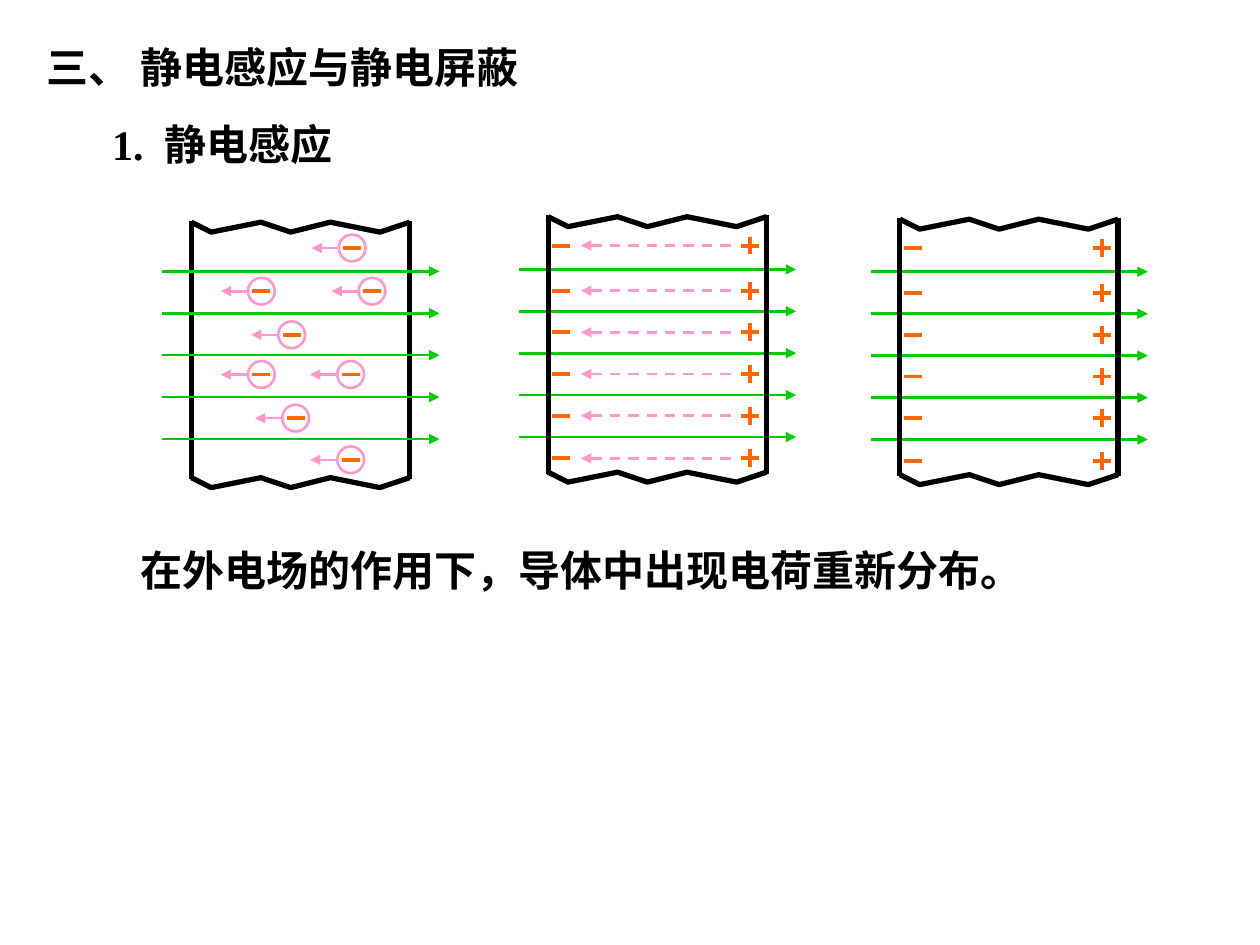
from lxml.etree import SubElement
from pptx import Presentation
from pptx.dml.color import RGBColor
from pptx.enum.dml import MSO_LINE_DASH_STYLE as Dash
from pptx.enum.shapes import MSO_CONNECTOR as Connector, MSO_SHAPE as Shape
from pptx.enum.text import MSO_ANCHOR as Anchor, MSO_AUTO_SIZE as AutoSize, PP_ALIGN as Align
from pptx.oxml.ns import qn
from pptx.util import Cm, Pt

# Content: text with left, top, width, height in cm
TITLE = ("三、 静电感应与静电屏蔽", (0.69, 0.71, 13.79, 1.27))
SUBTITLE = ("1.\t静电感应", (2.01, 2.26, 5.0, 1.27))
CONCLUSION = ("在外电场的作用下，导体中出现电荷重新分布。", (2.59, 10.85, 19.3, 1.27))
NUMBER_TAB = 1.05

COLORS = {"text": "000000", "wall": "000000", "field": "00CC00",
          "motion": "FF99CC", "charge": "FF6600"}
FONT = "Times New Roman"

# Conductor panels: origin at the top of the left wall, all in cm
FREE_PANEL = (3.86, 4.45)
MOVING_PANEL = (11.05, 4.34)
BALANCED_PANEL = (18.14, 4.39)
CONDUCTOR_WIDTH, WALL_HEIGHT = 4.4, 5.21
BREAK_X = (0, 0.4, 1.4, 2.0, 2.8, 3.8, 4.4)
BREAK_DEPTH, BREAK_TOPS = 0.2, (0.03, 5.18)
FIELD_COUNT, FIELD_GAP = 5, 0.845
FIELD_START, FIELD_END = -0.59, 5.0
CHARGE_ROWS = (0.61, 1.52, 2.36, 3.2, 4.04, 4.9)
MINUS_X, PLUS_X, SIGN_HALF = 0.26, 4.07, 0.18
DRIFT_START, DRIFT_END = 3.68, 0.66
ELECTRONS = [(3.24, 0.55), (1.41, 1.42), (3.64, 1.42), (2.02, 2.3),
             (1.41, 3.1), (3.21, 3.1), (2.1, 3.98), (3.21, 4.82)]
ELECTRON_RADIUS, ELECTRON_REACH = 0.27, 0.82

presentation = Presentation()
presentation.slide_width, presentation.slide_height = Cm(25.4), Cm(19.05)
slide = presentation.slides.add_slide(presentation.slide_layouts[5])
shapes = slide.shapes


def color(name):
    return RGBColor.from_string(COLORS[name])


def write(shape, content, tab=None):
    text, box = content
    shape.left, shape.top, shape.width, shape.height = map(Cm, box)
    frame = shape.text_frame
    frame.text = text
    frame.word_wrap = True
    frame.auto_size = AutoSize.NONE
    frame.vertical_anchor = Anchor.TOP
    paragraph = frame.paragraphs[0]
    paragraph.alignment = Align.LEFT
    if tab:
        tabs = SubElement(paragraph._p.get_or_add_pPr(), qn("a:tabLst"))
        SubElement(tabs, qn("a:tab"), pos=str(Cm(tab)), algn="l")
    for run in paragraph.runs:
        run.font.name, run.font.size, run.font.bold = FONT, Pt(24), True
        run.font.color.rgb = color("text")


def style_line(line, name, width):
    line.color.rgb = color(name)
    line.width = Pt(width)


def add_line(origin, start, end, name, width, arrow=False, dashed=False):
    x, y = origin
    line = shapes.add_connector(Connector.STRAIGHT, Cm(x + start[0]), Cm(y + start[1]),
                                Cm(x + end[0]), Cm(y + end[1]))
    style_line(line.line, name, width)
    if dashed:
        line.line.dash_style = Dash.DASH
    properties = line.element.spPr
    if arrow:
        SubElement(properties.find(qn("a:ln")), qn("a:tailEnd"), type="triangle")
    SubElement(properties, qn("a:effectLst"))


def add_conductor(origin):
    x, y = origin
    for wall_x in (0, CONDUCTOR_WIDTH):
        add_line(origin, (wall_x, 0), (wall_x, WALL_HEIGHT), "wall", 3)
    for top in BREAK_TOPS:
        points = [(Cm(x + dx), Cm(y + top + BREAK_DEPTH * (i % 2)))
                  for i, dx in enumerate(BREAK_X)]
        builder = shapes.build_freeform(*points[0])
        builder.add_line_segments(points[1:], close=False)
        outline = builder.convert_to_shape()
        outline.fill.background()
        outline.shadow.inherit = False
        style_line(outline.line, "wall", 3)


def add_field(origin, first):
    for i in range(FIELD_COUNT):
        y = first + i * FIELD_GAP
        add_line(origin, (FIELD_START, y), (FIELD_END, y), "field", 1.5, arrow=True)


def add_minus(origin, x, y):
    add_line(origin, (x - SIGN_HALF, y), (x + SIGN_HALF, y), "charge", 2.25)


def add_plus(origin, x, y):
    add_minus(origin, x, y)
    add_line(origin, (x, y - SIGN_HALF), (x, y + SIGN_HALF), "charge", 2.25)


def add_electron(origin, x, y):
    circle = shapes.add_shape(Shape.OVAL, Cm(origin[0] + x - ELECTRON_RADIUS),
                              Cm(origin[1] + y - ELECTRON_RADIUS),
                              Cm(2 * ELECTRON_RADIUS), Cm(2 * ELECTRON_RADIUS))
    circle.fill.background()
    circle.shadow.inherit = False
    style_line(circle.line, "motion", 1.5)
    add_minus(origin, x, y)
    add_line(origin, (x - ELECTRON_RADIUS, y), (x - ELECTRON_REACH, y),
             "motion", 1.5, arrow=True)


# Texts
write(shapes.title, TITLE)
for content, tab in ((SUBTITLE, NUMBER_TAB), (CONCLUSION, None)):
    write(shapes.add_textbox(*map(Cm, content[1])), content, tab)

# Free electrons start to move; the field passes in front of the conductor
add_conductor(FREE_PANEL)
add_field(FREE_PANEL, 1.02)
for x, y in ELECTRONS:
    add_electron(FREE_PANEL, x, y)

# Charges gather on both sides, then reach balance
for panel in (MOVING_PANEL, BALANCED_PANEL):
    add_field(panel, 1.09)
    for y in CHARGE_ROWS:
        add_minus(panel, MINUS_X, y)
        add_plus(panel, PLUS_X, y)
        if panel == MOVING_PANEL:
            add_line(panel, (DRIFT_START, y), (DRIFT_END, y), "motion", 1.5,
                     arrow=True, dashed=True)
    add_conductor(panel)

presentation.save("out.pptx")
